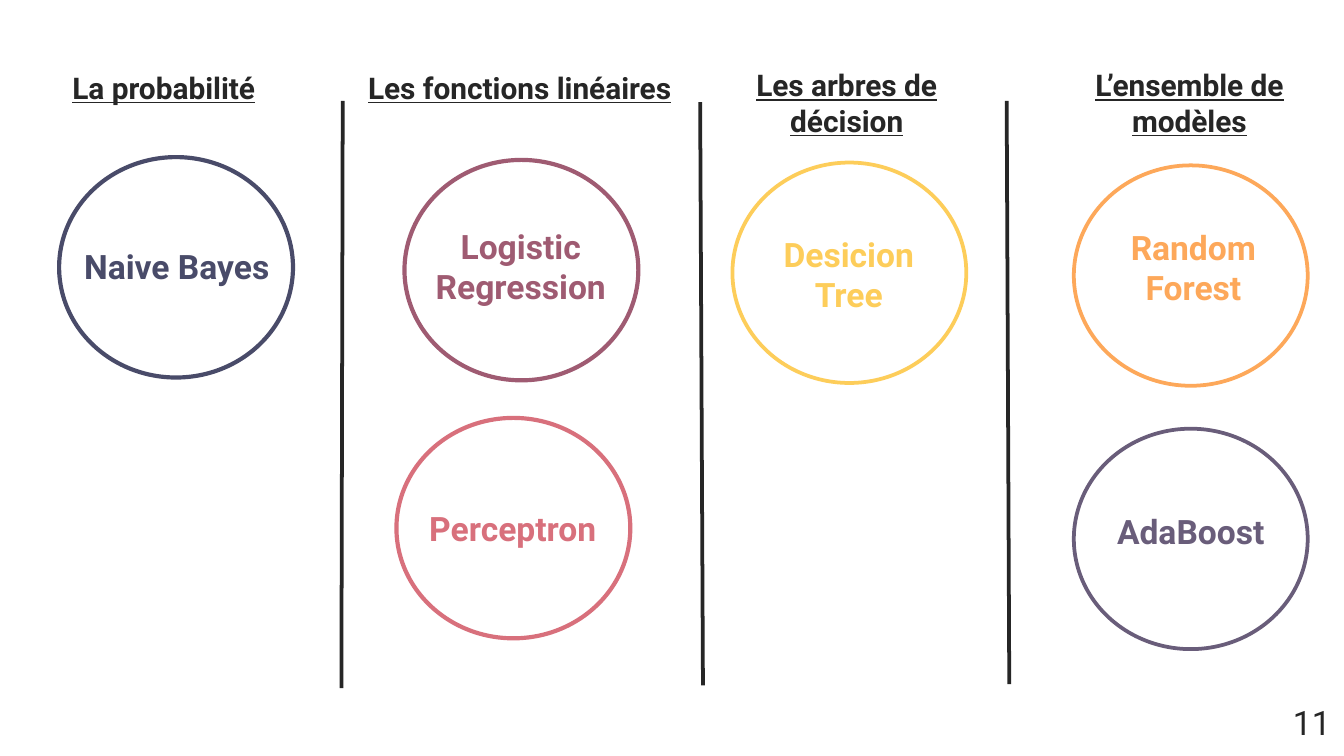
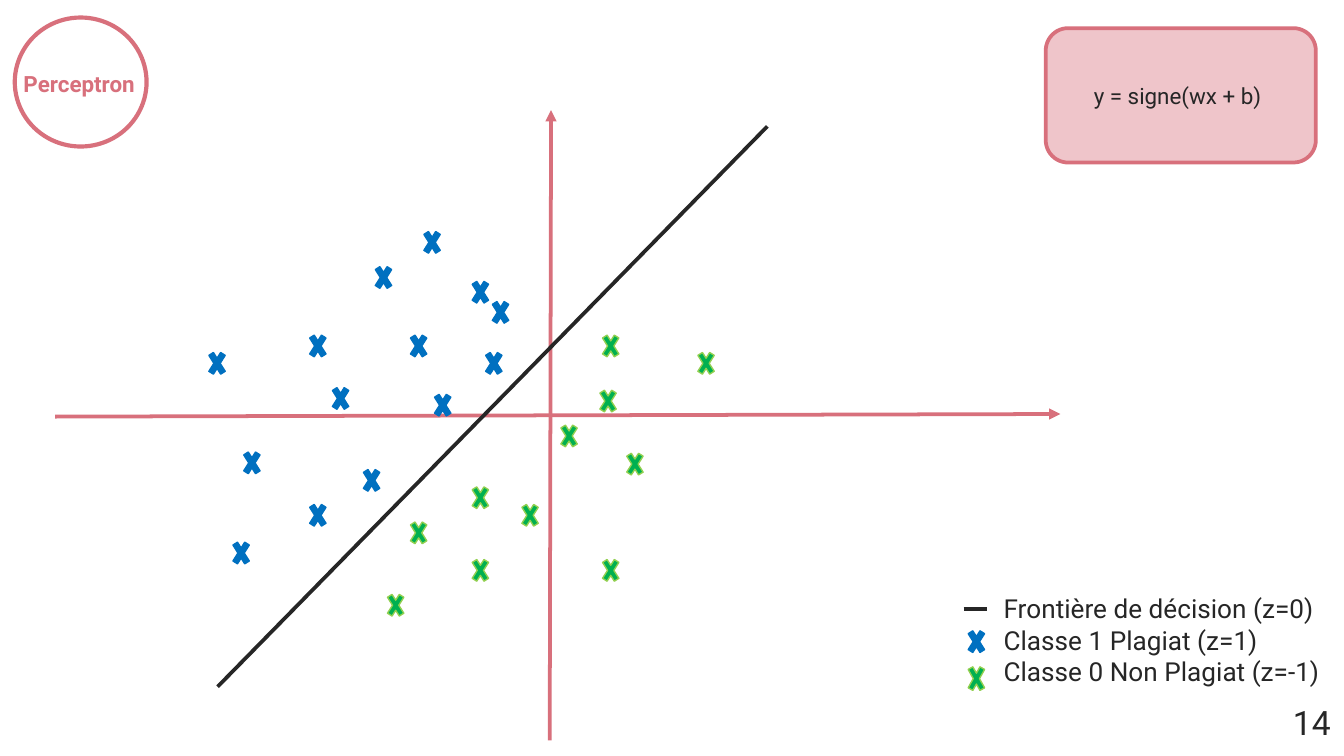
from dataclasses import dataclass

from lxml import etree
from pptx import Presentation
from pptx.dml.color import RGBColor
from pptx.enum import shapes as es, text as et
from pptx.oxml.ns import qn
from pptx.util import Pt


@dataclass(frozen=True)
class Theme:
    font: str = "Roboto"
    ink: str = "262626"
    white: str = "FFFFFF"
    navy: str = "494B69"
    plum: str = "9F5B72"
    rose: str = "D8707C"
    gold: str = "FDCD5A"
    peach: str = "FDA85A"
    mauve: str = "695D7A"
    blue: str = "0070C0"
    green: str = "00B050"
    lime: str = "92D050"
    large: int = 18
    head: int = 16
    key: int = 14
    small: int = 12
    rule: float = 2
    ring: float = 2.25
    edge: float = 0.75


T = Theme()
SHAPE = es.MSO_SHAPE
ALIGN = et.PP_ALIGN
RING = 125.3, 118.1     # size of a model ring
MARK = 12.2, 19.4       # size of a data point


# Basic parts

def write(frame, lines, size, color=T.ink, align=ALIGN.LEFT, **marks):
    form = {"name": T.font, "size": Pt(size), **marks}
    for i, line in enumerate(lines):
        para = frame.add_paragraph() if i else frame.paragraphs[0]
        para.alignment = align
        run = para.add_run()
        run.text = line
        for key, value in form.items():
            setattr(run.font, key, value)
        run.font.color.rgb = RGBColor.from_string(color)


def label(slide, box, lines, size, **form):
    frame = slide.shapes.add_textbox(*map(Pt, box)).text_frame
    frame.word_wrap = True
    frame.auto_size = et.MSO_AUTO_SIZE.SHAPE_TO_FIT_TEXT
    write(frame, lines, size, **form)


def shape(slide, kind, box, fill=None, line=None, width=T.rule, alpha=None):
    item = slide.shapes.add_shape(kind, *map(Pt, box))
    item.shadow.inherit = False
    if fill:
        item.fill.solid()
        item.fill.fore_color.rgb = RGBColor.from_string(fill)
    else:
        item.fill.background()
    if alpha:
        tint = item.fill._xPr.find(".//" + qn("a:srgbClr"))
        etree.SubElement(tint, qn("a:alpha"), val=str(alpha * 1000))
    if line:
        item.line.color.rgb = RGBColor.from_string(line)
        item.line.width = Pt(width)
    else:
        item.line.fill.background()
    return item


def stroke(slide, ends, color=T.ink, arrow=False):
    item = slide.shapes.add_connector(es.MSO_CONNECTOR.STRAIGHT, *map(Pt, ends))
    item.line.color.rgb = RGBColor.from_string(color)
    item.line.width = Pt(T.rule)
    if arrow:
        etree.SubElement(item.line._get_or_add_ln(), qn("a:tailEnd"), type="triangle")
    etree.SubElement(item._element.spPr, qn("a:effectLst"))


# Parts made for these slides

def page(deck, number):
    slide = deck.slides.add_slide(deck.slide_layouts[6])
    band = shape(slide, SHAPE.RECTANGLE, (0, 369, 720, 36), T.white)
    band.text_frame.vertical_anchor = et.MSO_ANCHOR.MIDDLE
    write(band.text_frame, [number], T.large, align=ALIGN.RIGHT)
    return slide


def model(slide, name, color, ring, tag, size=T.large, fill=None, width=T.ring):
    shape(slide, SHAPE.OVAL, ring, fill, color, width)
    label(slide, tag, [name], size, color=color, align=ALIGN.CENTER, bold=True)


def cross(slide, spot, fill, line, size=MARK):
    shape(slide, SHAPE.MATH_MULTIPLY, (*spot, *size), fill, line, T.edge)


def families(deck):
    slide = page(deck, "11")

    # Column heads
    heads = [
        ("La probabilité", (31.7, 33.8, 136.1, 26.6), ALIGN.LEFT),
        ("Les fonctions linéaires", (190.1, 33.8, 216, 26.6), ALIGN.LEFT),
        ("Les arbres de décision", (371.5, 32.4, 164.2, 46.1), ALIGN.CENTER),
        ("L’ensemble de modèles", (555.1, 32.4, 164.2, 46.1), ALIGN.CENTER),
    ]
    for name, box, align in heads:
        label(slide, box, [name], T.head, align=align, bold=True, underline=True)

    # Column rules
    for ends in [(183.6, 54, 182.9, 368.6), (375.1, 54.7, 376.6, 367.2),
                 (539.3, 54, 540.7, 366.5)]:
        stroke(slide, ends)

    # Models: open rings, then rings filled with white
    clear = [
        ("Naive Bayes", T.navy, (31.7, 84.2), (36.7, 128.2, 115.9, 28.8)),
        ("Logistic Regression", T.plum, (216.7, 85.7), (223.2, 117.4, 111.6, 51.1)),
        ("Perceptron", T.rose, (212.4, 223.9), (218.2, 268.6, 113, 28.8)),
    ]
    solid = [
        ("Desicion Tree", T.gold, (392.4, 87.1), (405.4, 121.7, 98.6, 51.1)),
        ("Random Forest", T.peach, (575.3, 88.6), (590.4, 118.1, 97.9, 51.1)),
        ("AdaBoost", T.mauve, (575.3, 229.7), (589, 270, 97.9, 28.8)),
    ]
    for group, fill, width in [(clear, None, T.ring), (solid, T.white, T.rule)]:
        for name, color, spot, tag in group:
            model(slide, name, color, (*spot, *RING), tag, fill=fill, width=width)


def neuron(deck):
    slide = page(deck, "14")
    model(slide, "Perceptron", T.rose, (7.9, 9.4, 70.6, 69.1),
          (1.4, 33.8, 82.1, 21.6), T.small)

    # Axes and decision boundary
    stroke(slide, (29.5, 223.2, 568.1, 221.8), T.rose, arrow=True)
    stroke(slide, (294.5, 396.7, 295.2, 59), T.rose, arrow=True)
    stroke(slide, (411.1, 67.7, 116.6, 367.9))

    # Data points of both classes
    zero = [(321.1, 295.9), (334.1, 239), (277.9, 266.4), (372.2, 185),
            (321.1, 175.7), (319.7, 205.2), (298.8, 223.9), (218.2, 275.8),
            (205.9, 314.6), (251.3, 257), (251.3, 295.9)]
    one = [(218.2, 175.7), (231.1, 207.4), (193, 247.7), (164.2, 175.7),
           (251.3, 146.9), (164.2, 266.4), (128.9, 238.3), (199.4, 139),
           (176.4, 203.8), (110.2, 185), (123.1, 286.6), (225.4, 120.2),
           (262.1, 157.7), (258.5, 185)]
    for spots, fill, line in [(zero, T.green, T.lime), (one, T.blue, T.blue)]:
        for spot in spots:
            cross(slide, spot, fill, line)

    # Legend
    label(slide, (530.6, 313.9, 189, 58.3),
          ["Frontière de décision (z=0)", "Classe 1 Plagiat (z=1)",
           "Classe 0 Non Plagiat (z=-1)"], T.key)
    cross(slide, (517, 352.8), T.green, T.lime, (12.2, 21.6))
    cross(slide, (517, 334.1), T.blue, T.blue)
    stroke(slide, (516.2, 326.2, 528.5, 326.2))

    # Formula
    shape(slide, SHAPE.ROUNDED_RECTANGLE, (560.2, 15.1, 144.7, 72),
          T.rose, T.rose, alpha=40)
    label(slide, (578.9, 40.3, 113, 21.6), ["y = signe(wx + b)"], T.small)


def main():
    deck = Presentation()
    deck.slide_width, deck.slide_height = Pt(720), Pt(405)
    families(deck)
    neuron(deck)
    deck.save("out.pptx")


if __name__ == "__main__":
    main()
